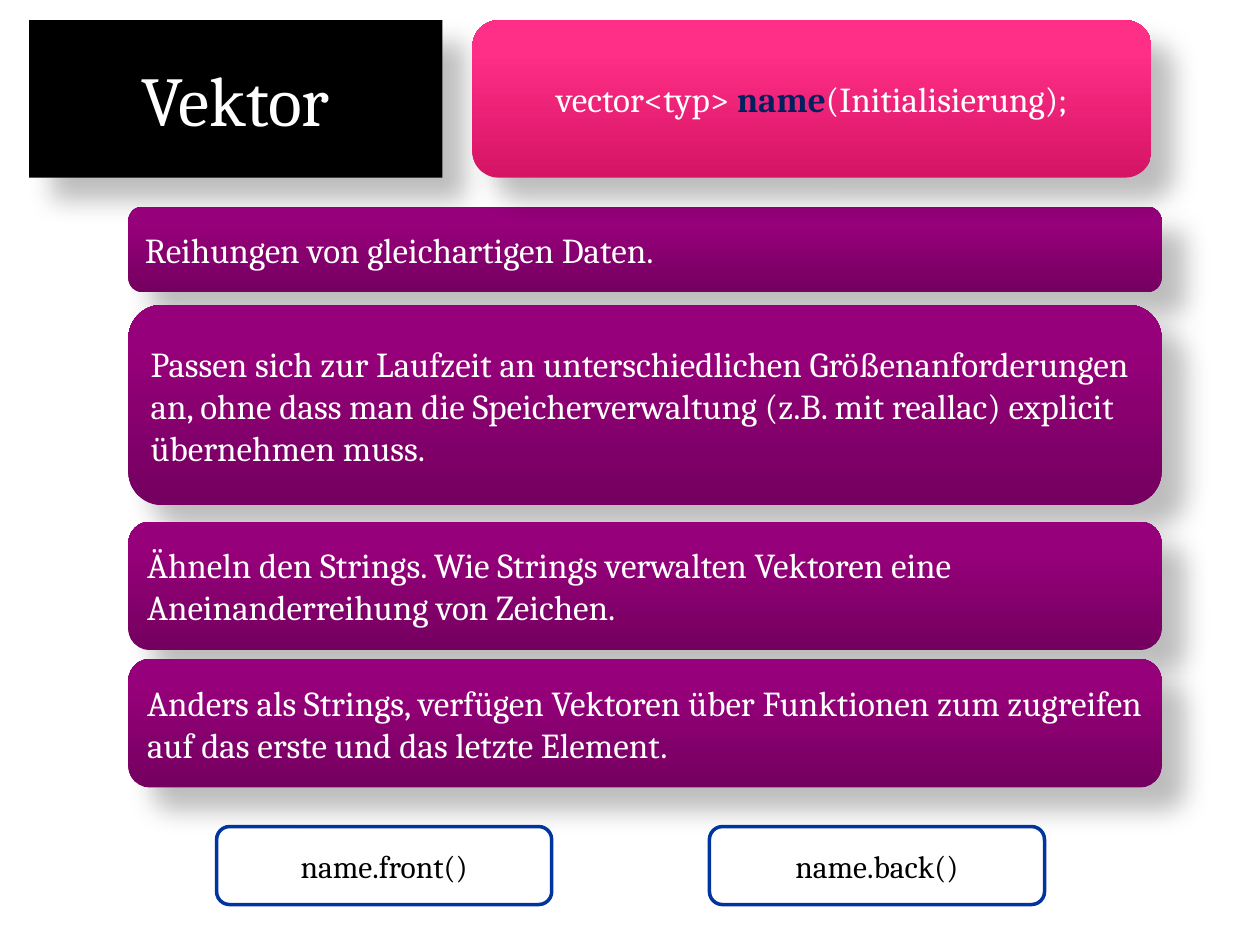
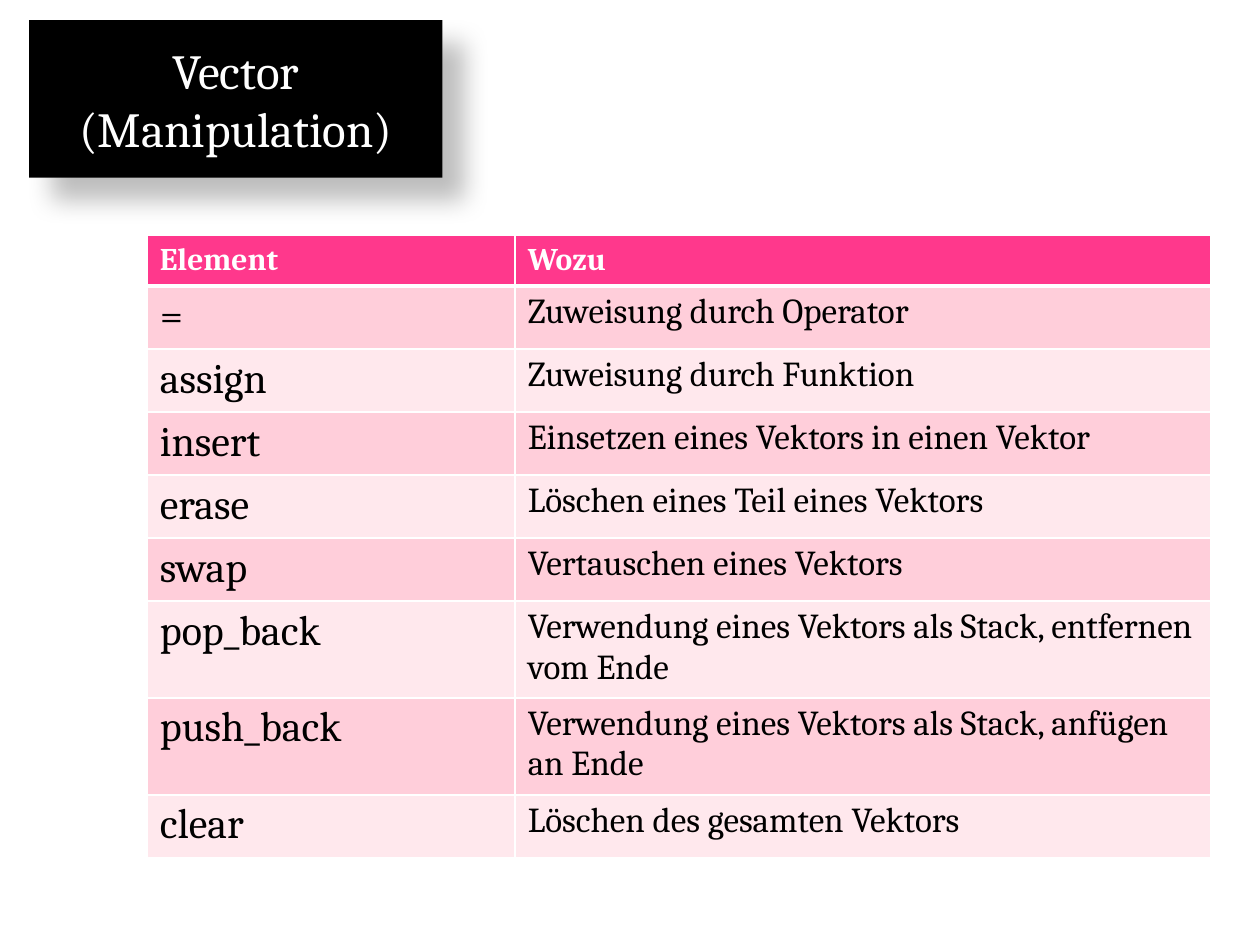
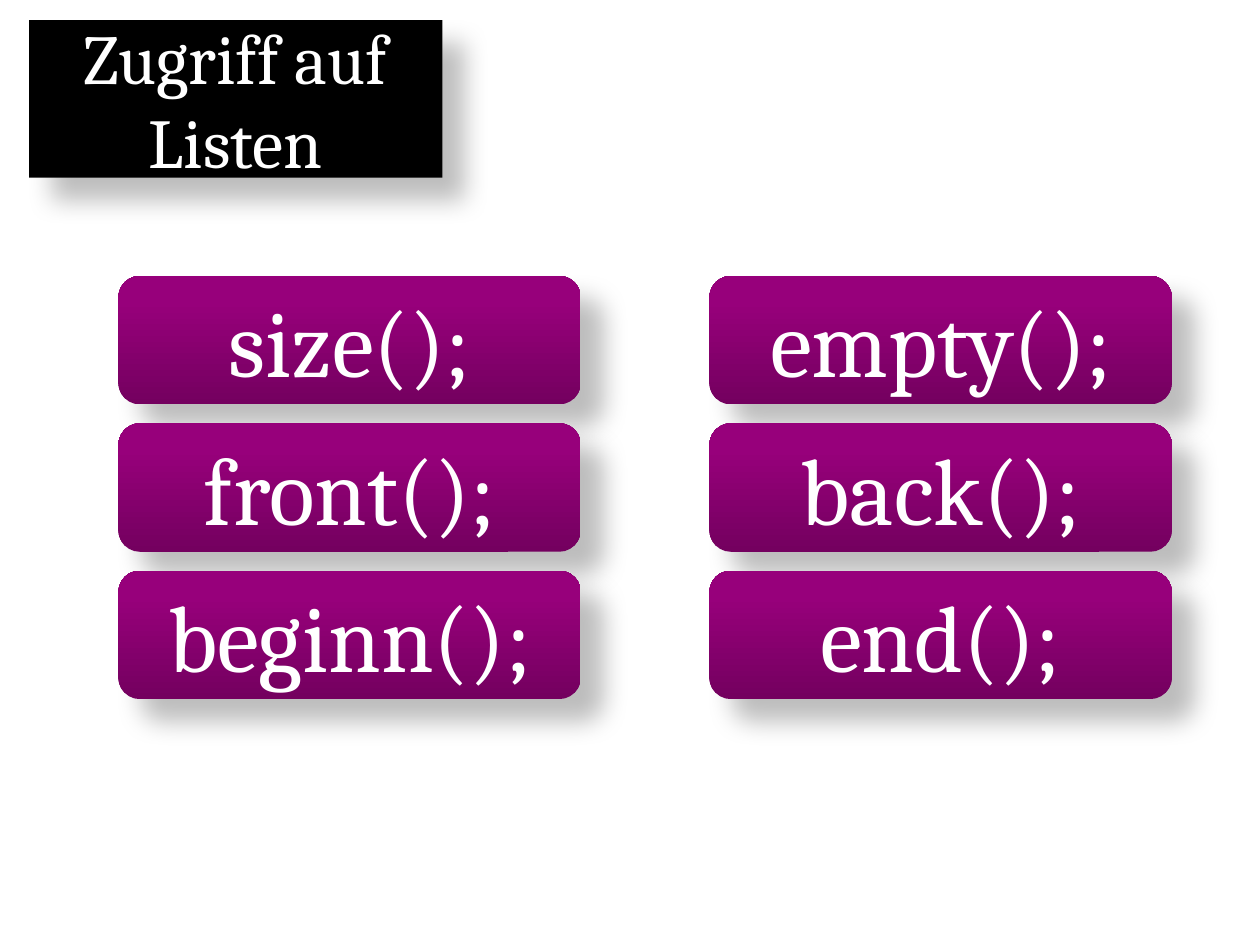
from dataclasses import dataclass

from lxml.etree import SubElement
from pptx import Presentation
from pptx.dml.color import RGBColor
from pptx.enum.shapes import MSO_SHAPE
from pptx.enum.text import MSO_ANCHOR, MSO_AUTO_SIZE, PP_ALIGN
from pptx.oxml.ns import qn
from pptx.util import Pt

FONT = "Cambria"
BLACK = RGBColor(0x00, 0x00, 0x00)
WHITE = RGBColor(0xFF, 0xFF, 0xFF)
NAVY = RGBColor(0x00, 0x20, 0x60)
BLUE = RGBColor(0x00, 0x34, 0x9E)
PINK = RGBColor(0xFF, 0x38, 0x8C)
ROW_FILLS = (RGBColor(0xFF, 0xCE, 0xDA), RGBColor(0xFF, 0xE8, 0xED))

# Gradient stops: position in percent, colour
PURPLE_GRADIENT = (
    (0, RGBColor(0x74, 0x00, 0x5F)),
    (80, RGBColor(0x97, 0x00, 0x7B)),
    (100, RGBColor(0x98, 0x00, 0x7C)),
)
PINK_GRADIENT = (
    (0, RGBColor(0xD5, 0x14, 0x65)),
    (80, RGBColor(0xFF, 0x2E, 0x86)),
    (100, RGBColor(0xFF, 0x30, 0x87)),
)


@dataclass(frozen=True)
class Box:
    """Position and size in points."""
    left: float
    top: float
    width: float
    height: float


TITLE_BOX = Box(16.6, 11.5, 236.2, 90)
SYNTAX_BOX = Box(270, 11.5, 388, 90)

# Slide 1: explanations and the two access functions
BAR_LEFT, BAR_WIDTH = 73.4, 590.4
BARS = (
    (118.1, 49, "Reihungen von gleichartigen Daten."),
    (174.2, 114.5, "Passen sich zur Laufzeit an unterschiedlichen "
     "Größenanforderungen an, ohne dass man die Speicherverwaltung "
     "(z.B. mit reallac) explicit übernehmen muss."),
    (298.1, 73.4, "Ähneln den Strings. Wie Strings verwalten Vektoren eine "
     "Aneinanderreihung von Zeichen."),
    (376.6, 73.4, "Anders als Strings, verfügen Vektoren über Funktionen zum "
     "zugreifen auf das erste und das letzte Element."),
)
ACCESS = ((123.8, "name.front()"), (405.4, "name.back()"))

# Slide 2: table
COL_WIDTHS = (210.2, 397.4)
HEADER_HEIGHT, ROW_HEIGHT, TALL_ROW_HEIGHT = 28.8, 36, 55.4
TALL_ROWS = ("pop_back", "push_back")
TABLE_ROWS = (
    ("Element", "Wozu"),
    ("=", "Zuweisung durch Operator"),
    ("assign", "Zuweisung durch Funktion"),
    ("insert", "Einsetzen eines Vektors in einen Vektor"),
    ("erase", "Löschen eines Teil eines Vektors"),
    ("swap", "Vertauschen eines Vektors"),
    ("pop_back", "Verwendung eines Vektors als Stack, entfernen vom Ende"),
    ("push_back", "Verwendung eines Vektors als Stack, anfügen an Ende"),
    ("clear", "Löschen des gesamten Vektors"),
)

# Slide 3: grid of functions
GRID_LEFTS, GRID_TOP, GRID_STEP = (67.7, 405.4), 157.7, 84.2
FUNCTIONS = (("size();", "empty();"), ("front();", "back();"),
             ("beginn();", "end();"))


def add_text(p, text: str, *, size: float, color: RGBColor = WHITE,
             bold: bool = False, align: PP_ALIGN = PP_ALIGN.LEFT) -> None:
    p.alignment = align
    r = p.add_run()
    r.text = text
    r.font.name = FONT
    r.font.size = Pt(size)
    r.font.bold = bold
    r.font.color.rgb = color


def fill_gradient(sp, stops) -> None:
    """Fill from bottom to top."""
    sp.fill.gradient()
    sp.fill.gradient_angle = 90
    gs_lst = next(sp._element.spPr.iter(qn("a:gsLst")))
    gs_lst.clear()
    for pos, color in stops:
        gs = SubElement(gs_lst, qn("a:gs"), pos=str(pos * 1000))
        SubElement(gs, qn("a:srgbClr"), val=str(color))


def add_shadow(sp) -> None:
    effects = sp._element.spPr.find(qn("a:effectLst"))
    shadow = SubElement(effects, qn("a:outerShdw"), blurRad=str(Pt(15)),
                        dist=str(Pt(18)), dir=str(45 * 60000),
                        algn="tl", rotWithShape="0")
    color = SubElement(shadow, qn("a:srgbClr"), val=str(BLACK))
    SubElement(color, qn("a:alpha"), val="26000")


def prepare_text(sp):
    tf = sp.text_frame
    tf.word_wrap = True
    tf.auto_size = MSO_AUTO_SIZE.NONE
    tf.vertical_anchor = MSO_ANCHOR.MIDDLE
    return tf


def add_box(s, box: Box, *, gradient=None):
    """Rounded box: shaded with a shadow, or white with a blue outline."""
    sp = s.shapes.add_shape(MSO_SHAPE.ROUNDED_RECTANGLE, Pt(box.left),
                            Pt(box.top), Pt(box.width), Pt(box.height))
    sp.shadow.inherit = False
    if gradient:
        fill_gradient(sp, gradient)
        sp.line.fill.background()
        add_shadow(sp)
    else:
        sp.fill.solid()
        sp.fill.fore_color.rgb = WHITE
        sp.line.color.rgb = BLUE
        sp.line.width = Pt(2)
    return prepare_text(sp)


def add_titled_slide(prs, lines: tuple[str, ...], size: float):
    s = prs.slides.add_slide(prs.slide_layouts[5])
    sp = s.shapes.title
    sp.left, sp.top = Pt(TITLE_BOX.left), Pt(TITLE_BOX.top)
    sp.width, sp.height = Pt(TITLE_BOX.width), Pt(TITLE_BOX.height)
    geom = SubElement(sp._element.spPr, qn("a:prstGeom"), prst="roundRect")
    SubElement(geom, qn("a:avLst"))
    sp.fill.solid()
    sp.fill.fore_color.rgb = BLACK
    sp.shadow.inherit = False
    add_shadow(sp)
    tf = prepare_text(sp)
    for i, line in enumerate(lines):
        p = tf.add_paragraph() if i else tf.paragraphs[0]
        add_text(p, line, size=size, align=PP_ALIGN.CENTER)
    return s


def format_cell(cell, fill: RGBColor, bottom: float, top: float) -> None:
    tc_pr = cell._tc.get_or_add_tcPr()
    for side, width in (("L", 0.96), ("R", 0.96), ("T", top), ("B", bottom)):
        ln = SubElement(tc_pr, qn(f"a:ln{side}"), w=str(Pt(width)))
        SubElement(SubElement(ln, qn("a:solidFill")), qn("a:srgbClr"),
                   val=str(WHITE))
    cell.fill.solid()
    cell.fill.fore_color.rgb = fill


def build_vector_slide(prs) -> None:
    s = add_titled_slide(prs, ("Vektor",), 40)
    for top, height, text in BARS:
        tf = add_box(s, Box(BAR_LEFT, top, BAR_WIDTH, height),
                     gradient=PURPLE_GRADIENT)
        add_text(tf.paragraphs[0], text, size=20)
    for left, text in ACCESS:
        tf = add_box(s, Box(left, 472.3, 191.5, 44.6))
        add_text(tf.paragraphs[0], text, size=18, color=BLACK,
                 align=PP_ALIGN.CENTER)
    p = add_box(s, SYNTAX_BOX, gradient=PINK_GRADIENT).paragraphs[0]
    for text, color, bold in (("vector<typ> ", WHITE, False),
                              ("name", NAVY, True),
                              ("(Initialisierung);", WHITE, False)):
        add_text(p, text, size=20, color=color, bold=bold,
                 align=PP_ALIGN.CENTER)


def build_manipulation_slide(prs) -> None:
    s = add_titled_slide(prs, ("Vector", "(Manipulation)"), 28)
    heights = [HEADER_HEIGHT] + [
        TALL_ROW_HEIGHT if name in TALL_ROWS else ROW_HEIGHT
        for name, _ in TABLE_ROWS[1:]]
    table = s.shapes.add_table(len(TABLE_ROWS), len(COL_WIDTHS), Pt(84.2),
                               Pt(134.6), Pt(sum(COL_WIDTHS)),
                               Pt(sum(heights))).table
    for col, width in zip(table.columns, COL_WIDTHS):
        col.width = Pt(width)
    for i, (texts, height) in enumerate(zip(TABLE_ROWS, heights)):
        table.rows[i].height = Pt(height)
        header = i == 0
        sizes = (18, 18) if header else (24, 20)
        for j, (text, size) in enumerate(zip(texts, sizes)):
            cell = table.cell(i, j)
            format_cell(cell, PINK if header else ROW_FILLS[(i - 1) % 2],
                        bottom=3 if header else 0.96,
                        top=3 if i == 1 else 0.96)
            add_text(cell.text_frame.paragraphs[0], text, size=size,
                     color=WHITE if header else BLACK, bold=header)


def build_access_slide(prs) -> None:
    s = add_titled_slide(prs, ("Zugriff auf Listen",), 40)
    for i, names in enumerate(FUNCTIONS):
        for left, name in zip(GRID_LEFTS, names):
            tf = add_box(s, Box(left, GRID_TOP + i * GRID_STEP, 264.2, 73.4),
                         gradient=PURPLE_GRADIENT)
            add_text(tf.paragraphs[0], name, size=54, align=PP_ALIGN.CENTER)


def main() -> None:
    prs = Presentation()
    prs.slide_width, prs.slide_height = Pt(720), Pt(540)
    build_vector_slide(prs)
    build_manipulation_slide(prs)
    build_access_slide(prs)
    prs.save("out.pptx")


if __name__ == "__main__":
    main()
